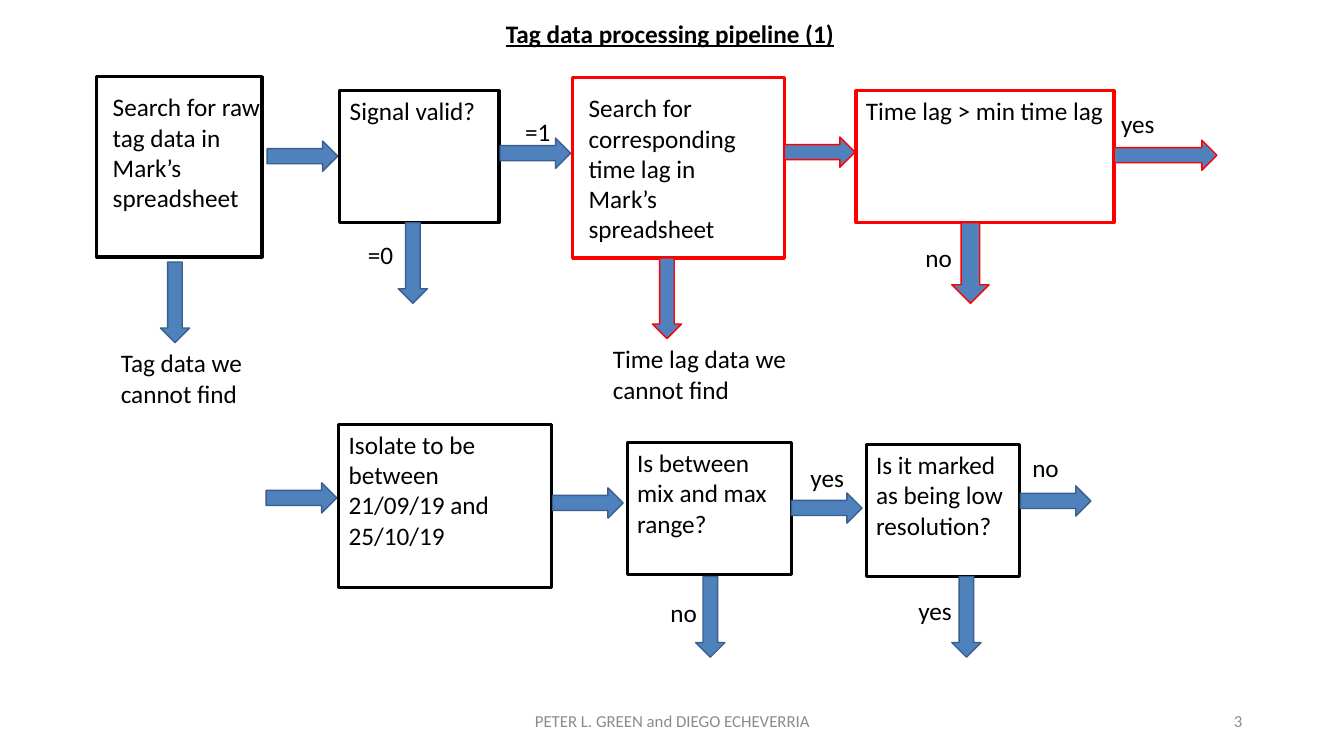
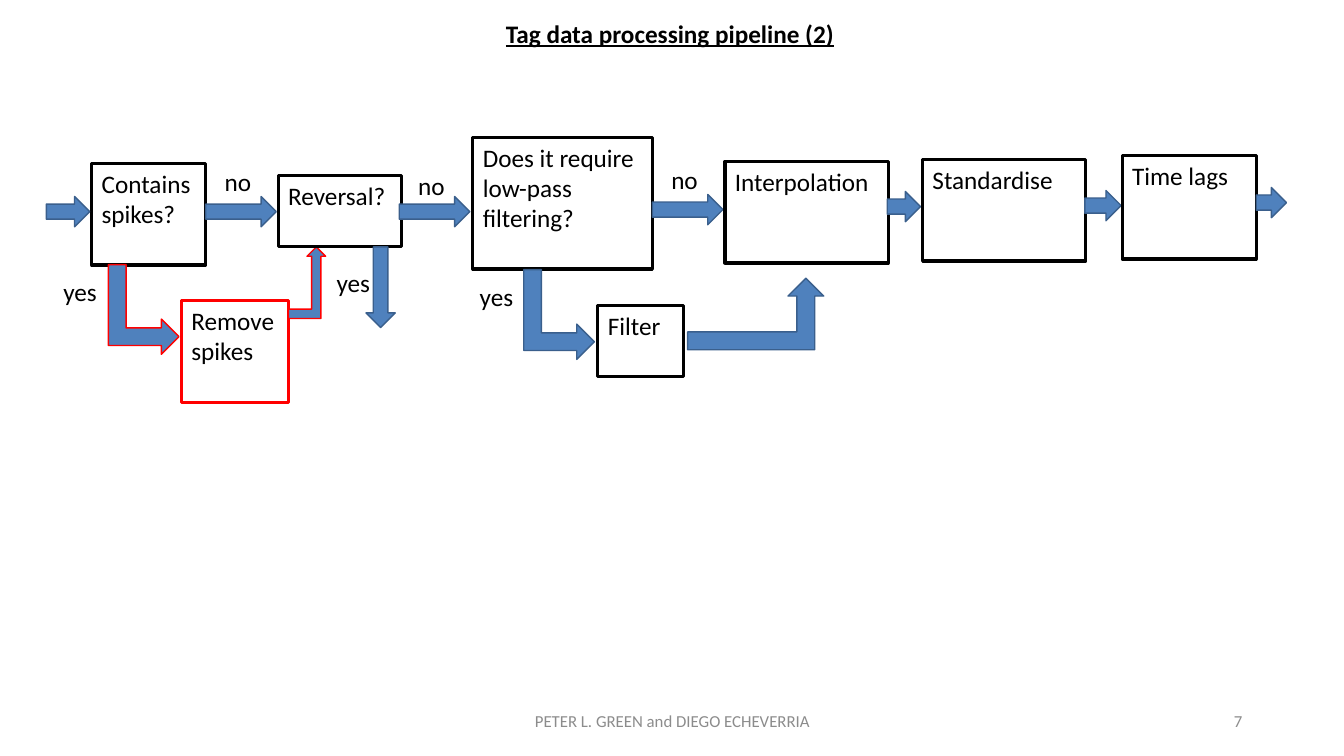
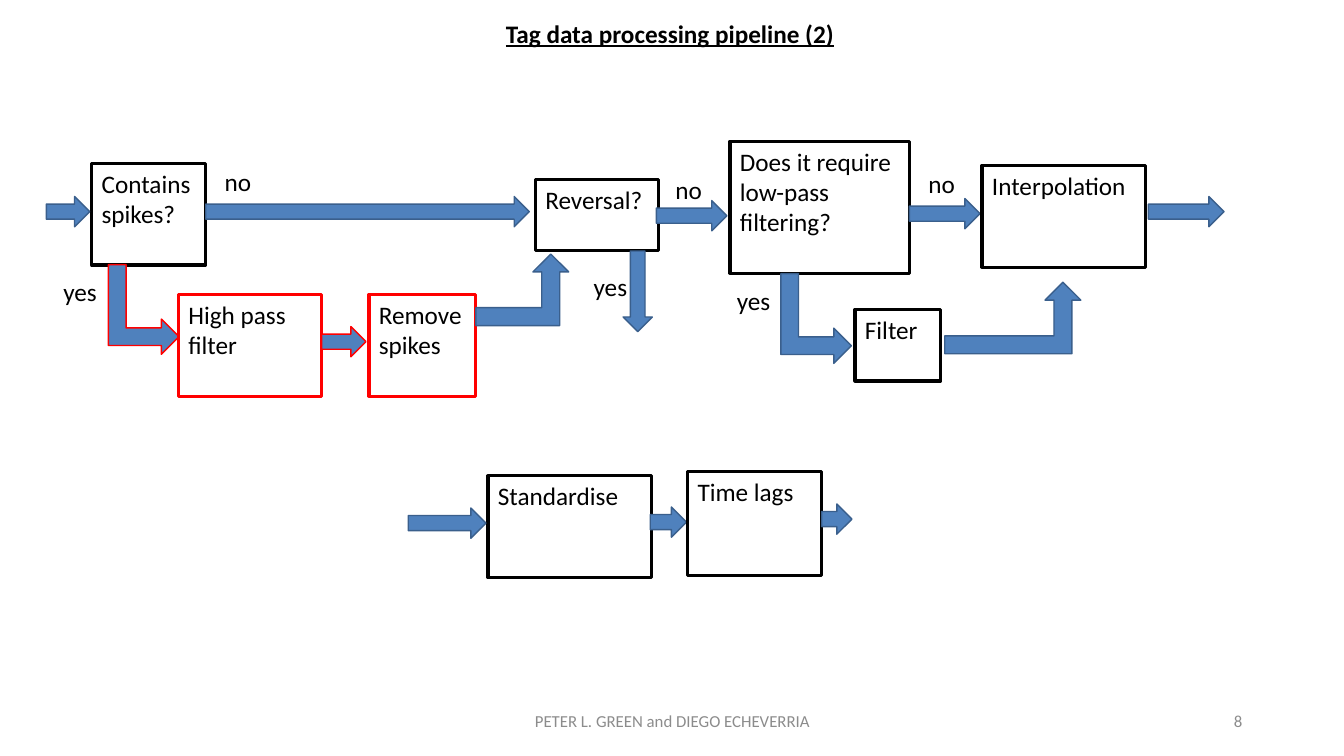
from dataclasses import dataclass

from pptx import Presentation
from pptx import util as u
from pptx.dml import color
from pptx.enum import shapes, text

PX = 9144  # EMU per px, at 100 px to the inch
Kind = shapes.MSO_SHAPE


@dataclass(frozen=True)
class Theme:
    font: str = "Calibri"
    ink: str = "000000"
    accent: str = "FF0000"
    arrow_fill: str = "4F81BD"
    arrow_line: str = "3A5F8C"
    footer_ink: str = "8C8C8C"
    body_size: int = 18
    footer_size: int = 12
    box_weight: float = 2.25
    arrow_weight: float = 1


@dataclass(frozen=True)
class Box:
    left: int
    top: int
    width: int
    height: int

    @property
    def right(self):
        return self.left + self.width

    @property
    def bottom(self):
        return self.top + self.height

    def emu(self):
        return [n * PX for n in (self.left, self.top, self.width, self.height)]


THEME = Theme()
FOOTER = "PETER L. GREEN and DIEGO ECHEVERRIA"


# Basic parts

def write(shape, words, size=THEME.body_size, ink=THEME.ink, bold=False,
          underline=False, align=text.PP_ALIGN.LEFT, anchor=text.MSO_ANCHOR.TOP):
    frame = shape.text_frame
    frame.word_wrap = True
    frame.vertical_anchor = anchor
    paragraph = frame.paragraphs[0]
    paragraph.text = words
    paragraph.alignment = align
    for run in paragraph.runs:
        run.font.name = THEME.font
        run.font.size = u.Pt(size)
        run.font.bold = bold
        run.font.underline = underline
        run.font.color.rgb = color.RGBColor.from_string(ink)


def add_text(slide, box, words, **style):
    write(slide.shapes.add_textbox(*box.emu()), words, **style)


def add_outline(slide, kind, box, line, weight):
    shape = slide.shapes.add_shape(kind, *box.emu())
    shape.shadow.inherit = False
    shape.fill.background()
    shape.line.color.rgb = color.RGBColor.from_string(line)
    shape.line.width = u.Pt(weight)
    return shape


def add_step(slide, box, words, line=THEME.ink, caption_size=None):
    """A step box; caption_size sets its words in a text box of their own."""
    shape = add_outline(slide, Kind.RECTANGLE, box, line, THEME.box_weight)
    if caption_size:
        add_text(slide, Box(box.left + 6, box.top + 10, *caption_size), words)
    else:
        write(shape, words)
    return box


def add_arrow(slide, kind, box, line=THEME.arrow_line, rotation=0):
    shape = add_outline(slide, kind, box, line, THEME.arrow_weight)
    shape.fill.solid()
    shape.fill.fore_color.rgb = color.RGBColor.from_string(THEME.arrow_fill)
    shape.rotation = rotation
    return box


def add_label(slide, arrow, words, right, down, width):
    add_text(slide, Box(arrow.left + right, arrow.top + down, width, 40), words)


# Arrows placed from the step they belong to

def enter_left(slide, step, drop, length=70):
    add_arrow(slide, Kind.RIGHT_ARROW,
              Box(step.left - 2 - length, step.top + drop, length, 30))


def leave_right(slide, step, drop, length=70, gap=0, line=THEME.arrow_line,
                label=None, offset=(9, -35), label_width=66):
    arrow = add_arrow(slide, Kind.RIGHT_ARROW,
                      Box(step.right + gap, step.top + drop, length, 30), line)
    if label:
        add_label(slide, arrow, label, *offset, label_width)


def leave_down(slide, step, shift, width=29, gap=0, line=THEME.arrow_line,
               label=None, offset=(-39, 15), label_width=54):
    arrow = add_arrow(slide, Kind.DOWN_ARROW,
                      Box(step.left + shift, step.bottom + gap, width, 80), line)
    if label:
        add_label(slide, arrow, label, *offset, label_width)
    return arrow


def add_dead_end(slide, arrow, words, width):
    add_text(slide, Box(arrow.left - 49, arrow.bottom, width, 71), words)


def turn_right(slide, left, top, line=THEME.arrow_line):
    """Arrow that goes down and then right, with its box given before rotation."""
    add_arrow(slide, Kind.BENT_UP_ARROW, Box(left, top, 89, 70), line, rotation=90)


def turn_up(slide, left, top, width, line=THEME.arrow_line):
    add_arrow(slide, Kind.BENT_UP_ARROW, Box(left, top, width, 71), line)


# Regions of the first slide

def search_row(slide, left, top):
    raw = add_step(slide, Box(left, top, 164, 179),
                   "Search for raw tag data in Mark’s spreadsheet",
                   caption_size=(166, 162))
    leave_right(slide, raw, 64, gap=5)
    lost = leave_down(slide, raw, 63, gap=5)
    add_dead_end(slide, lost, "Tag data we\ncannot find", 156)

    signal = add_step(slide, Box(left + 241, top + 14, 158, 131), "Signal valid?")
    leave_right(slide, signal, 47, gap=1, label="=1", offset=(15, -26))
    leave_down(slide, signal, 58, label="=0", offset=(-40, 12))

    lag = add_step(slide, Box(left + 472, top + 1, 210, 179),
                   "Search for corresponding time lag in Mark’s spreadsheet",
                   line=THEME.accent, caption_size=(197, 192))
    leave_right(slide, lag, 59, line=THEME.accent)
    lost = leave_down(slide, lag, 79, line=THEME.accent)
    add_dead_end(slide, lost, "Time lag data we\ncannot find", 240)

    minimum = add_step(slide, Box(left + 753, top + 14, 256, 131),
                       "Time lag > min time lag", line=THEME.accent)
    leave_right(slide, minimum, 49, length=102, line=THEME.accent,
                label="yes", offset=(-3, -36), label_width=111)
    leave_down(slide, minimum, 95, width=37, line=THEME.accent,
               label="no", offset=(-36, 15), label_width=111)


def check_row(slide, left, top):
    dates = add_step(slide, Box(left, top, 211, 162),
                     "Isolate to be between\n21/09/19 and 25/10/19")
    enter_left(slide, dates, 58)
    leave_right(slide, dates, 63, gap=1)

    limits = add_step(slide, Box(left + 286, top + 18, 163, 131),
                      "Is between mix and max range?")
    leave_right(slide, limits, 50, label="yes")
    leave_down(slide, limits, 68, gap=2, label="no", offset=(-35, 16))

    resolution = add_step(slide, Box(left + 523, top + 20, 152, 131),
                          "Is it marked as being low resolution?")
    leave_right(slide, resolution, 41, gap=1, label="no", offset=(2, -38))
    leave_down(slide, resolution, 85, label="yes", offset=(-43, 14))


# Regions shared by the other slides

def spike_check(slide, left, top, exit_length):
    spikes = add_step(slide, Box(left, top, 113, 101), "Contains\nspikes?")
    enter_left(slide, spikes, 33, length=43)
    leave_right(slide, spikes, 33, length=exit_length, label="no")
    turn_right(slide, left + 7, top + 110, THEME.accent)
    add_text(slide, Box(left - 38, top + 107, 54, 40), "yes")


def spike_removal(slide, left, top, rise, run, line):
    remove = add_step(slide, Box(left, top, 106, 101), "Remove spikes",
                      line=THEME.accent)
    turn_up(slide, remove.right, top - rise, run, line)


def reversal_check(slide, left, top):
    reversal = add_step(slide, Box(left, top, 122, 71), "Reversal?")
    leave_right(slide, reversal, 21, gap=-2, label="no", offset=(9, -31))
    leave_down(slide, reversal, 87, label="yes")


def low_pass_stage(slide, left, top):
    question = add_step(slide, Box(left, top, 178, 131),
                        "Does it require low-pass filtering?")
    leave_right(slide, question, 57, label="no")
    turn_right(slide, left + 41, top + 141)
    add_text(slide, Box(left - 3, top + 138, 54, 40), "yes")
    add_step(slide, Box(left + 124, top + 167, 85, 71), "Filter")
    turn_up(slide, left + 213, top + 140, 135)
    return add_step(slide, Box(left + 250, top + 24, 162, 101), "Interpolation")


def final_stage(slide, left, top, entry_length):
    standardise = add_step(slide, Box(left, top, 162, 101), "Standardise")
    enter_left(slide, standardise, 32, length=entry_length)
    leave_right(slide, standardise, 31, length=36, gap=-1)
    lags = add_step(slide, Box(left + 198, top - 4, 133, 103), "Time lags")
    leave_right(slide, lags, 32, length=30)


# Slides

def add_page(presentation, title, number):
    slide = presentation.slides.add_slide(presentation.slide_layouts[6])
    add_text(slide, Box(200, 13, 929, 41), title, bold=True, underline=True,
             align=text.PP_ALIGN.CENTER)
    footer = dict(size=THEME.footer_size, ink=THEME.footer_ink,
                  anchor=text.MSO_ANCHOR.MIDDLE)
    add_text(slide, Box(442, 695, 450, 40), FOOTER,
             align=text.PP_ALIGN.CENTER, **footer)
    add_text(slide, Box(942, 695, 300, 40), str(number),
             align=text.PP_ALIGN.RIGHT, **footer)
    return slide


def selection_slide(presentation):
    slide = add_page(presentation, "Tag data processing pipeline (1)", 3)
    search_row(slide, 96, 76)
    check_row(slide, 336, 421)


def cleaning_slide(presentation):
    slide = add_page(presentation, "Tag data processing pipeline (2)", 7)
    spike_check(slide, 91, 162, exit_length=70)
    spike_removal(slide, 180, 298, rise=53, run=37, line=THEME.accent)
    reversal_check(slide, 276, 174)
    low_pass_stage(slide, 469, 136)
    final_stage(slide, 915, 158, entry_length=33)


def high_pass_slide(presentation):
    slide = add_page(presentation, "Tag data processing pipeline (2)", 8)
    spike_check(slide, 91, 162, exit_length=321)
    high_pass = add_step(slide, Box(177, 292, 142, 101), "High pass filter",
                         line=THEME.accent)
    leave_right(slide, high_pass, 32, length=44, line=THEME.accent)
    spike_removal(slide, 366, 292, rise=40, run=92, line=THEME.arrow_line)
    reversal_check(slide, 531, 178)
    interpolation = low_pass_stage(slide, 724, 140)
    leave_right(slide, interpolation, 31, length=75, gap=3)
    final_stage(slide, 484, 472, entry_length=77)


def main():
    presentation = Presentation()
    presentation.slide_width = 1333 * PX
    presentation.slide_height = 750 * PX
    selection_slide(presentation)
    cleaning_slide(presentation)
    high_pass_slide(presentation)
    presentation.save("out.pptx")


if __name__ == "__main__":
    main()
